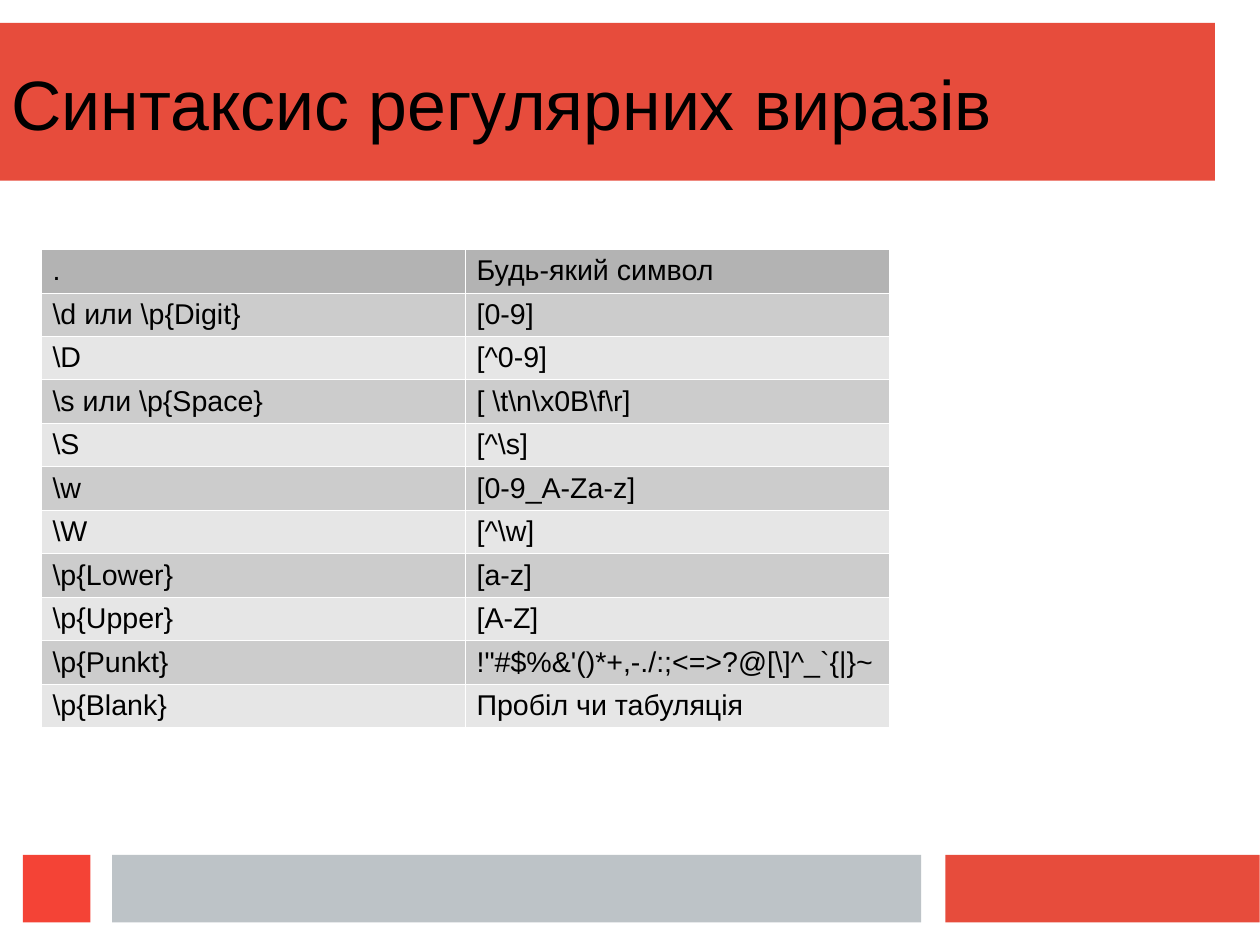
from pptx import Presentation
from pptx.dml.color import RGBColor
from pptx.enum.shapes import MSO_SHAPE as Shape
from pptx.enum.text import MSO_ANCHOR as Anchor
from pptx.oxml import parse_xml
from pptx.oxml.ns import nsdecls
from pptx.util import Inches, Pt

RED = RGBColor(0xE7, 0x4C, 0x3C)
BRIGHT = RGBColor(0xF4, 0x43, 0x36)
GRAY = RGBColor(0xBD, 0xC3, 0xC7)
HEAD = RGBColor(0xB3, 0xB3, 0xB3)
DARK = RGBColor(0xCC, 0xCC, 0xCC)
LIGHT = RGBColor(0xE6, 0xE6, 0xE6)
BLACK = RGBColor(0, 0, 0)
WHITE = RGBColor(0xFF, 0xFF, 0xFF)

TITLE = "Синтаксис регулярних виразів"
ROWS = [
    (".", "Будь-який символ"),
    (r"\d или \p{Digit}", "[0-9]"),
    (r"\D", "[^0-9]"),
    (r"\s или \p{Space}", r"[ \t\n\x0B\f\r]"),
    (r"\S", r"[^\s]"),
    (r"\w", "[0-9_A-Za-z]"),
    (r"\W", r"[^\w]"),
    (r"\p{Lower}", "[a-z]"),
    (r"\p{Upper}", "[A-Z]"),
    (r"\p{Punkt}", r"""!"#$%&'()*+,-./:;<=>?@[\]^_`{|}~"""),
    (r"\p{Blank}", "Пробіл чи табуляція"),
]
CM = 1 / 2.54  # inches in a centimetre
COL_W, ROW_H = 3.71, 0.38
BAR_Y, BAR_H = 7.48, 0.59


def add_bar(slide, left, top, width, height, color):
    bar = slide.shapes.add_shape(
        Shape.RECTANGLE, Inches(left), Inches(top), Inches(width), Inches(height))
    bar.shadow.inherit = False
    bar.fill.solid()
    bar.fill.fore_color.rgb = color
    bar.line.fill.background()


def add_run(frame, text, size):
    run = frame.paragraphs[0].add_run()
    run.text = text
    run.font.name = "Arial"
    run.font.size = Pt(size)
    run.font.color.rgb = BLACK


def add_title(slide, text):
    box = slide.shapes.add_textbox(
        Inches(0), Inches(0.47), Inches(10.16), Inches(0.85))
    frame = box.text_frame
    frame.word_wrap = True
    frame.vertical_anchor = Anchor.MIDDLE
    add_run(frame, text, 44)


def set_edges(cell):
    # Borders must come before the fill in the cell properties
    props = cell._tc.get_or_add_tcPr()
    for side in ("lnL", "lnR", "lnT", "lnB"):
        props.append(parse_xml(
            f'<a:{side} {nsdecls("a")} w="{Pt(0.06)}"><a:solidFill>'
            f'<a:srgbClr val="{WHITE}"/></a:solidFill></a:{side}>'))


def fill_cell(cell, text, color):
    set_edges(cell)
    cell.fill.solid()
    cell.fill.fore_color.rgb = color
    add_run(cell.text_frame, text, 18)


def add_grid(slide, rows):
    count = len(rows)
    table = slide.shapes.add_table(
        count, 2, Inches(0.36), Inches(2.18),
        Inches(2 * COL_W), Inches(count * ROW_H)).table
    for col in table.columns:
        col.width = Inches(COL_W)
    for i, row in enumerate(rows):
        table.rows[i].height = Inches(ROW_H)
        color = HEAD if i == 0 else DARK if i % 2 else LIGHT
        for j, text in enumerate(row):
            fill_cell(table.cell(i, j), text, color)


def main():
    deck = Presentation()
    deck.slide_width = Inches(28 * CM)
    deck.slide_height = Inches(21 * CM)
    slide = deck.slides.add_slide(deck.slide_layouts[6])

    # Title band and footer bars
    add_bar(slide, 0, 0.2, 10.63, 1.38, RED)
    for left, width, color in (
            (8.27, 2.75, RED), (0.98, 7.08, GRAY), (0.2, 0.59, BRIGHT)):
        add_bar(slide, left, BAR_Y, width, BAR_H, color)

    # Syntax table and title
    add_grid(slide, ROWS)
    add_title(slide, TITLE)

    deck.save("out.pptx")


if __name__ == "__main__":
    main()
